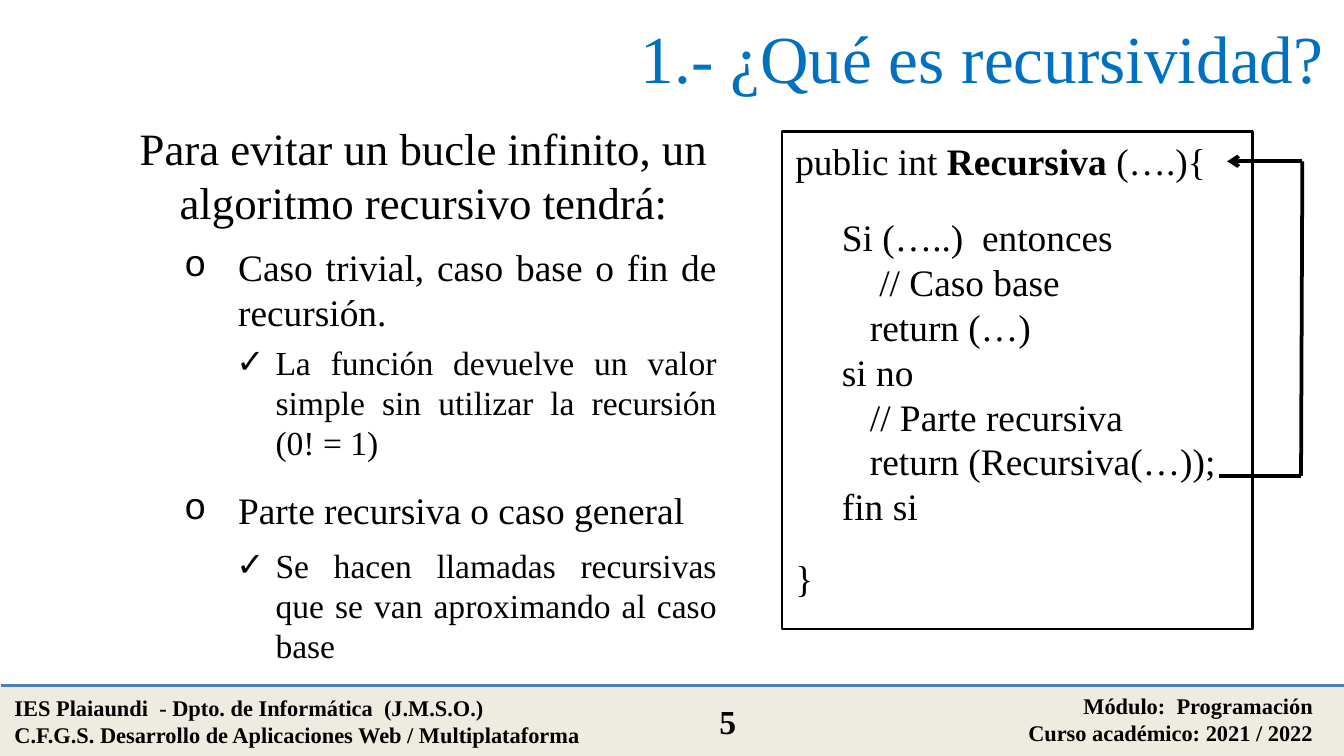
from pptx import Presentation
from pptx.dml.color import RGBColor as RGB
from pptx.enum.shapes import MSO_SHAPE as SHAPE, MSO_CONNECTOR as LINK
from pptx.enum.text import PP_ALIGN as ALIGN, MSO_ANCHOR as ANCHOR, MSO_AUTO_SIZE as AUTO
from pptx.oxml.ns import qn
from pptx.util import Pt
from lxml.etree import SubElement as Sub

HUES = {"ink": "000000", "title": "0070C0", "bar": "EEECE1", "rule": "4B7EBC"}


def style(par, size, align=ALIGN.LEFT, bold=False, hue="ink"):
    par.alignment = align
    par.line_spacing = 1.0
    for run in par.runs:
        font = run.font
        font.name = "Times New Roman"
        font.size = Pt(size)
        font.bold = bold
        font.color.rgb = RGB.from_string(HUES[hue])


def link(x1, y1, x2, y2, hue="ink"):
    line = slide.shapes.add_connector(LINK.STRAIGHT, Pt(x1), Pt(y1), Pt(x2), Pt(y2))
    line.line.color.rgb = RGB.from_string(HUES[hue])
    line.line.width = Pt(2)
    Sub(line._element.spPr, qn("a:effectLst"))
    return line


deck = Presentation()
deck.slide_width, deck.slide_height = Pt(720), Pt(405)
slide = deck.slides.add_slide(deck.slide_layouts[1])
shapes = slide.shapes

bar = shapes.add_shape(SHAPE.RECTANGLE, Pt(0.7), Pt(367.2), Pt(720), Pt(37.4))
bar.shadow.inherit = False
bar.fill.solid()
bar.fill.fore_color.rgb = bar.line.color.rgb = RGB.from_string(HUES["bar"])
bar.line.width = Pt(2)
link(0.7, 367.2, 720.7, 367.2, "rule")

title = shapes.title
title.left, title.top, title.width, title.height = Pt(91.4), Pt(0), Pt(625), Pt(60.5)
title.text_frame.text = "1.- ¿Qué es recursividad?"
title.text_frame.vertical_anchor = ANCHOR.MIDDLE
style(title.text_frame.paragraphs[0], 36, ALIGN.RIGHT, hue="title")

texts = [
    (0.7, 368.6, 335.5, 36, 12, ALIGN.LEFT, True,
     "IES Plaiaundi  - Dpto. de Informática  (J.M.S.O.)\n"
     "C.F.G.S. Desarrollo de Aplicaciones Web / Multiplataforma"),
    (422.6, 367.2, 288, 36, 12, ALIGN.RIGHT, True,
     "Módulo:  Programación\nCurso académico: 2021 / 2022"),
    (360.7, 372.2, 58.3, 29, 18, ALIGN.CENTER, True, "5"),
    (47.5, 61.2, 358.6, 65.5, 24, ALIGN.CENTER, False,
     "Para evitar un bucle infinito, un algoritmo recursivo tendrá:"),
]
for left, top, wide, tall, size, align, bold, words in texts:
    frame = shapes.add_textbox(Pt(left), Pt(top), Pt(wide), Pt(tall)).text_frame
    frame.word_wrap = True
    frame.text = words
    for par in frame.paragraphs:
        style(par, size, align, bold)

body = shapes.placeholders[1]
body.left, body.top, body.width, body.height = Pt(91.4), Pt(127.4), Pt(300), Pt(233)
frame = body.text_frame
frame.auto_size = AUTO.NONE
frame.vertical_anchor = ANCHOR.TOP
items = [
    (0, 0, "Caso trivial, caso base o fin de recursión."),
    (1, 4, "La función devuelve un valor simple sin utilizar la recursión (0! = 1)"),
    (0, 13, "Parte recursiva o caso general"),
    (1, 7, "Se hacen llamadas recursivas que se van aproximando al caso base"),
]
marks = [("o", "Courier New", 20, 29, 29), ("✓", "Arial", 18, 49, 21)]
frame.text = "\n".join(words for level, gap, words in items)
for par, (level, gap, words) in zip(frame.paragraphs, items):
    mark, face, size, left, hang = marks[level]
    par.level = level
    style(par, size, ALIGN.JUSTIFY)
    par.space_before = Pt(gap)
    props = par._p.get_or_add_pPr()
    props.set("marL", str(Pt(left)))
    props.set("indent", str(-Pt(hang)))
    Sub(props, qn("a:buFont"), typeface=face)
    Sub(props, qn("a:buChar"), char=mark)

code = shapes.add_shape(SHAPE.RECTANGLE, Pt(419), Pt(70.6), Pt(252), Pt(266.4))
code.shadow.inherit = False
code.fill.background()
code.line.color.rgb = RGB.from_string(HUES["ink"])
code.line.width = Pt(1.5)
frame = code.text_frame
frame.word_wrap = True
frame.vertical_anchor = ANCHOR.TOP
rows = [
    (0, 0, "public int "),
    (25, 16.8, "Si (…..)  entonces"),
    (45, 0, "// Caso base"),
    (40, 0, "return (…)"),
    (25, 0, "si no"),
    (40, 0, "// Parte recursiva"),
    (40, 0, "return (Recursiva(…));"),
    (25, 0, "fin si"),
    (0, 14.4, "}"),
]
frame.text = "\n".join(words for left, gap, words in rows)
head = frame.paragraphs[0]
for words in ("Recursiva", " (….){"):
    head.add_run().text = words
for par, (left, gap, words) in zip(frame.paragraphs, rows):
    style(par, 20)
    par.space_before = Pt(gap)
    par._p.get_or_add_pPr().set("marL", str(Pt(left)))
head.runs[1].font.bold = True

link(653, 254.9, 697, 254.9)
link(697, 254.9, 697.7, 86.4)
arrow = link(697.7, 86.4, 657.4, 86.4)
Sub(arrow.line._get_or_add_ln(), qn("a:tailEnd"), type="arrow")

deck.save("out.pptx")
